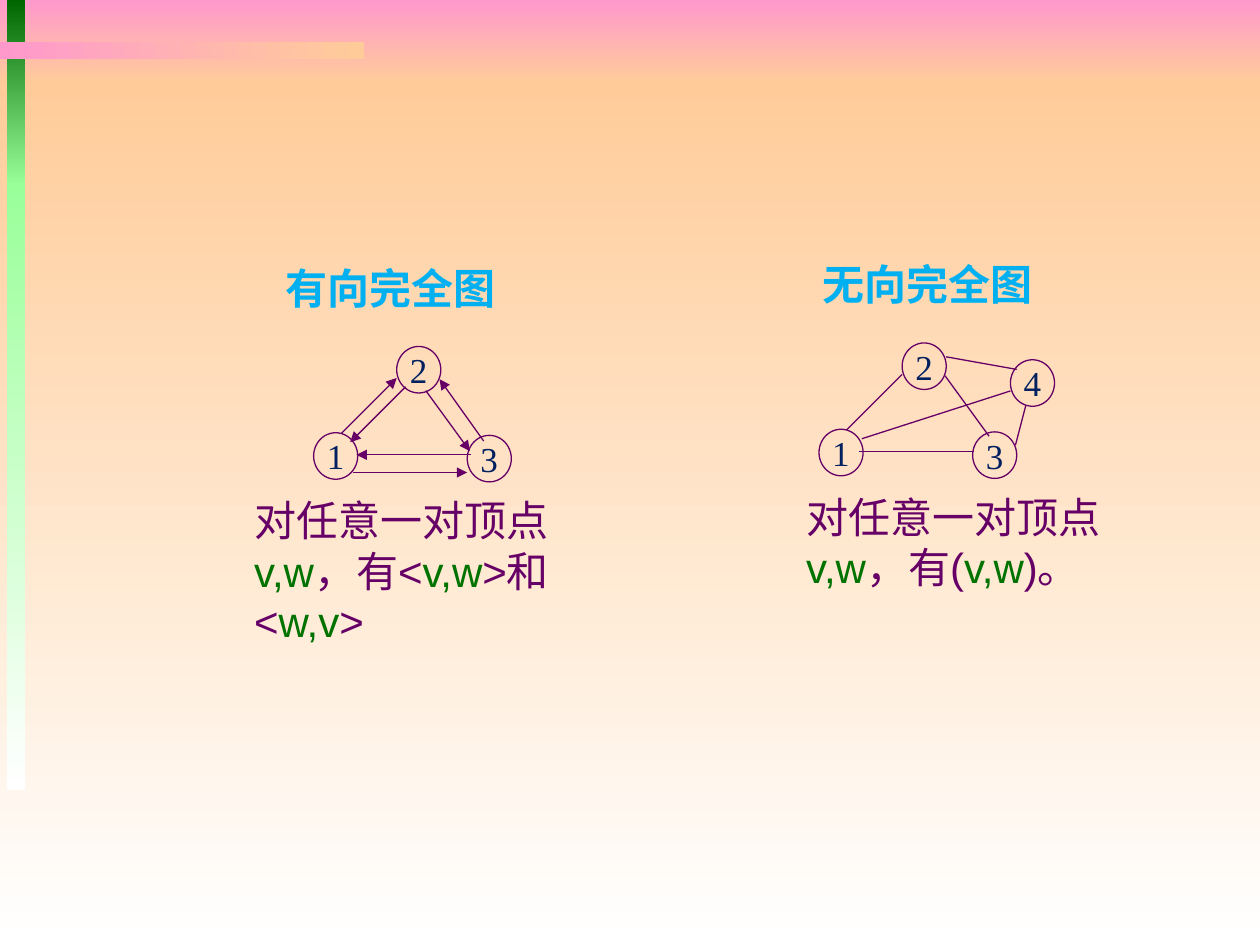
from dataclasses import dataclass

from lxml import etree
from pptx import Presentation
from pptx.dml.color import RGBColor
from pptx.enum.shapes import MSO_CONNECTOR, MSO_SHAPE
from pptx.enum.text import MSO_ANCHOR, MSO_AUTO_SIZE, PP_ALIGN
from pptx.oxml.ns import qn
from pptx.util import Pt

RECT, OVAL = MSO_SHAPE.RECTANGLE, MSO_SHAPE.OVAL
LINE = MSO_CONNECTOR.STRAIGHT
MIDDLE, CENTER = MSO_ANCHOR.MIDDLE, PP_ALIGN.CENTER
GROW = MSO_AUTO_SIZE.SHAPE_TO_FIT_TEXT


@dataclass(frozen=True)
class Theme:
    pink: str = "FF99CC"
    peach: str = "FFCC99"
    white: str = "FFFFFF"
    forest: str = "006600"
    mint: str = "99FF99"
    plum: str = "660066"
    green: str = "007200"
    navy: str = "002060"
    sky: str = "00B0F0"
    serif: str = "Times New Roman"
    sans: str = "Arial"
    large: int = 24
    small: int = 20
    thin: float = 0.75


THEME = Theme()
NODE = (25.2, 26.6)
NODES = {"2": (47.5, 0), "1": (0, 49.3), "3": (87.8, 50.8)}
ARROWS = [
    (22.3, 72, 87.8, 72),
    (90, 61.9, 24.5, 61.9),
    (15.8, 49.7, 47.5, 18),
    (52.6, 23, 20.9, 54.7),
    (64.1, 25.2, 89.3, 59.8),
    (97.2, 54, 72, 18.7),
]
EDGES = [
    (23, 61.9, 88.6, 61.9),
    (15.8, 49.7, 47.5, 18),
    (72, 18.7, 97.2, 53.3),
    (72.7, 7.9, 113, 15.1),
    (24.5, 54.7, 109.4, 27.4),
    (112.3, 58.3, 118.1, 36),
]


def color(code):
    return RGBColor.from_string(code)


def add_run(para, text, size, font, code, bold=False):
    run = para.add_run()
    run.text = text
    run.font.size = Pt(size)
    run.font.name = font
    run.font.bold = bold
    run.font.color.rgb = color(code)


def add_band(shapes, box, start, end, angle=270):
    band = shapes.add_shape(RECT, *map(Pt, box))
    band.shadow.inherit = False
    band.line.fill.background()
    band.fill.gradient()
    band.fill.gradient_angle = angle
    for stop, code, place in zip(band.fill.gradient_stops, (start, end), (0, 1)):
        stop.color.rgb = color(code)
        stop.position = place


def add_back(shapes, box):
    left, top, width, height = box
    split = top + 48
    add_band(shapes, (left, top, width, 48), THEME.pink, THEME.peach)
    add_band(shapes, (left, split, width, height - 48), THEME.peach, THEME.white)
    add_band(shapes, (left + 4.1, top, 10.1, 106), THEME.forest, THEME.mint)
    add_band(shapes, (left + 4.1, top + 105.1, 10.1, 346.3), THEME.mint, THEME.white)
    add_band(shapes, (left, top + 23.8, 208.1, 10.1), THEME.pink, THEME.peach, 0)


def add_node(shapes, left, top, name):
    node = shapes.add_shape(OVAL, Pt(left), Pt(top), *map(Pt, NODE))
    node.shadow.inherit = False
    node.fill.background()
    node.line.color.rgb = color(THEME.plum)
    node.line.width = Pt(THEME.thin)
    frame = node.text_frame
    frame.word_wrap = False
    frame.vertical_anchor = MIDDLE
    para = frame.paragraphs[0]
    para.alignment = CENTER
    add_run(para, name, THEME.small, THEME.serif, THEME.navy)


def add_edge(shapes, ends, arrow):
    edge = shapes.add_connector(LINE, *map(Pt, ends))
    edge.line.color.rgb = color(THEME.plum)
    edge.line.width = Pt(THEME.thin)
    props = edge.element.spPr
    if arrow:
        etree.SubElement(props.find(qn("a:ln")), qn("a:tailEnd"), type="triangle")
    etree.SubElement(props, qn("a:effectLst"))


def add_graph(shapes, left, top, nodes, edges, arrow):
    parts = shapes.add_group_shape().shapes
    for name, (x, y) in nodes.items():
        add_node(parts, left + x, top + y, name)
    for x1, y1, x2, y2 in edges:
        add_edge(parts, (left + x1, top + y1, left + x2, top + y2), arrow)


def add_text(shapes, box, wrap):
    frame = shapes.add_textbox(*map(Pt, box)).text_frame
    frame.word_wrap = wrap
    frame.auto_size = GROW
    return frame.paragraphs[0]


def add_panel(shapes, box, title, inset, shift, words, nodes, edges, arrow):
    left, top, width, height = box
    head = add_text(shapes, (left + inset, top, 136.1, 36.7), False)
    add_run(head, title, THEME.large, THEME.serif, THEME.sky, True)
    add_graph(shapes, left + shift, top + 51.8, nodes, edges, arrow)
    body = add_text(shapes, (left, top + 133, width, height - 133), True)
    for i, word in enumerate(words):
        code = (THEME.plum, THEME.green)[i % 2]
        add_run(body, word, THEME.large, THEME.sans, code)


def main():
    deck = Presentation()
    deck.slide_width, deck.slide_height = Pt(720), Pt(540)
    shapes = deck.slides.add_slide(deck.slide_layouts[6]).shapes
    add_back(shapes, (0, 0, 720, 540))
    add_panel(
        shapes, (138.2, 146.2, 225.4, 198.5), "有向完全图", 18, 41,
        ["对任意一对顶点", "v,w", "，有<", "v,w", ">和<", "w,v", ">"],
        NODES, ARROWS, True,
    )
    add_panel(
        shapes, (453.6, 144.2, 188.6, 198.5), "无向完全图", 9.4, 14.4,
        ["对任意一对顶点", "v,w", "，有(", "v,w", ")。"],
        {**NODES, "4": (109.4, 9.6)}, EDGES, False,
    )
    deck.save("out.pptx")


if __name__ == "__main__":
    main()
